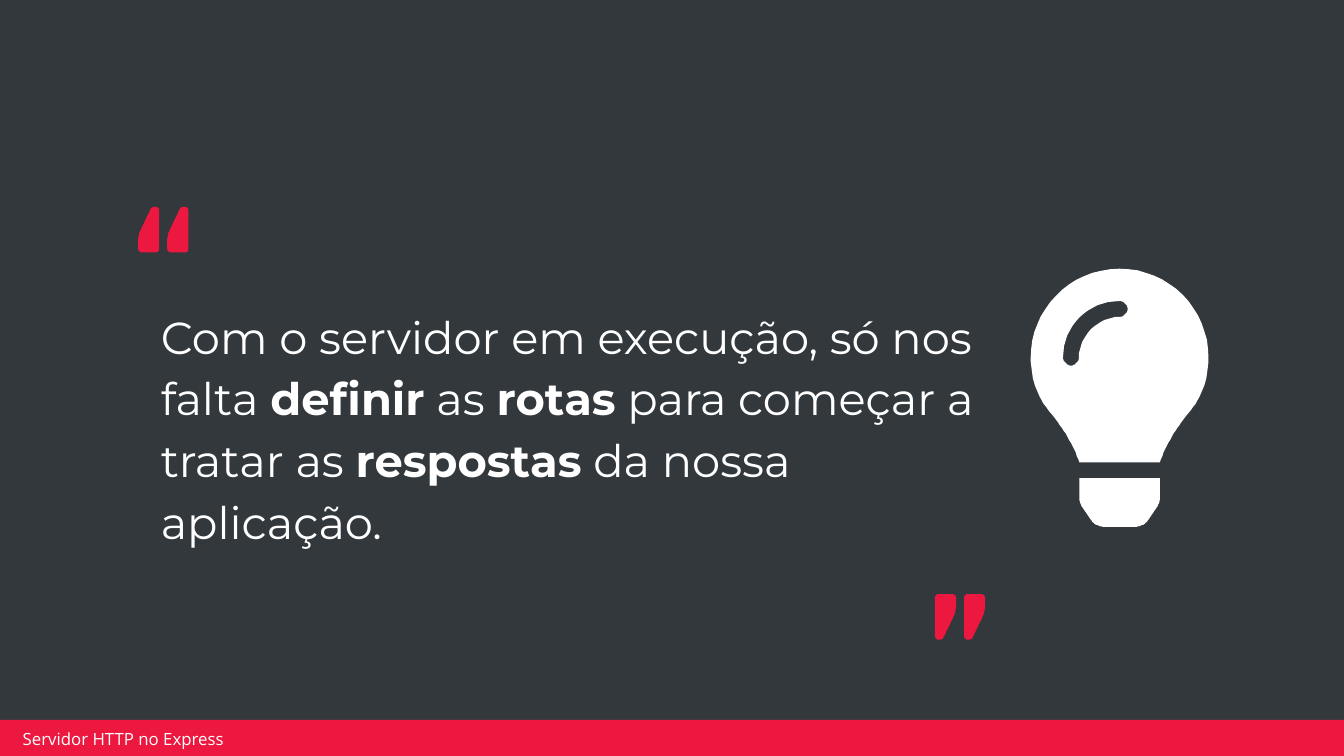
from dataclasses import dataclass

from pptx import Presentation
from pptx import util as u
from pptx.dml.color import RGBColor
from pptx.enum import shapes, text

COLORS = {"background": "33383C", "accent": "EC183F", "light": "FFFFFF"}

Point = tuple[float, float]
Segment = tuple[Point, ...]  # one point: straight line, three points: Bézier curve


@dataclass
class Contour:
    start: Point
    segments: list[Segment]


@dataclass
class QuoteMarks:
    left: float
    top: float
    rotation: int


@dataclass
class TextStyle:
    font: str
    size: int


@dataclass
class Box:
    left: float
    top: float
    width: float
    height: float


# Outlines, in hundredths of a centimetre
BULB = [
    # Glass
    Contour((0, 168), [
        ((0, 211), (15, 249), (43, 279)),
        ((58, 297), (81, 333), (92, 366)),
        ((244, 366),),
        ((255, 333), (278, 297), (293, 279)),
        ((321, 249), (336, 211), (336, 168)),
        ((336, 75), (261, 0), (168, 0)),
        ((71, 0), (0, 79), (0, 168)),
    ]),
    # Shine, cut out of the glass
    Contour((168, 91), [
        ((127, 91), (91, 127), (91, 168)),
        ((91, 176), (84, 183), (76, 183)),
        ((68, 183), (61, 176), (61, 168)),
        ((61, 109), (109, 61), (168, 61)),
        ((176, 61), (183, 68), (183, 76)),
        ((183, 84), (176, 91), (168, 91)),
    ]),
    # Base
    Contour((92, 396), [
        ((92, 434),),
        ((92, 439), (94, 445), (97, 450)),
        ((114, 475),),
        ((119, 483), (130, 488), (140, 488)),
        ((196, 488),),
        ((206, 488), (217, 483), (222, 475)),
        ((239, 450),),
        ((242, 445), (244, 439), (244, 434)),
        ((244, 396),),
    ]),
]
MARK = [
    Contour((33, 0), [
        ((28, 0), (25, 1), (24, 4)),
        ((7, 39),),
        ((3, 47), (0, 56), (0, 65)),
        ((0, 78),),
        ((0, 83), (3, 86), (8, 86)),
        ((33, 86),),
        ((38, 86), (40, 83), (40, 78)),
        ((40, 8),),
        ((40, 3), (38, 0), (33, 0)),
    ]),
]
MARK_PITCH = 0.55
QUOTE_MARKS = [QuoteMarks(2.61, 3.91, 0), QuoteMarks(17.67, 11.23, 180)]

# Wording: (text, bold)
QUOTE = [
    ("Com o servidor em execução, só nos falta ", False),
    ("definir", True),
    (" as ", False),
    ("rotas", True),
    (" para começar a tratar as ", False),
    ("respostas", True),
    (" da nossa aplicação.", False),
]
FOOTER = [("Servidor HTTP no Express", False)]


def rgb(name: str) -> RGBColor:
    return RGBColor.from_string(COLORS[name])


def paint(shape, color: str) -> None:
    shape.shadow.inherit = False
    shape.fill.solid()
    shape.fill.fore_color.rgb = rgb(color)
    shape.line.fill.background()


def flatten(contour: Contour, steps: int = 16) -> list[Point]:
    """Turn the curves of a contour into short straight lines."""
    points = [contour.start]
    for segment in contour.segments:
        if len(segment) == 1:
            points.append(segment[0])
            continue
        curve = (points[-1], *segment)
        for step in range(1, steps + 1):
            t = step / steps
            weights = ((1 - t) ** 3, 3 * t * (1 - t) ** 2, 3 * t * t * (1 - t), t ** 3)
            points.append(tuple(
                sum(w * p[axis] for w, p in zip(weights, curve)) for axis in (0, 1)))
    return points


def draw_outline(slide, contours: list[Contour], left: float, top: float,
                 color: str, rotation: int = 0) -> None:
    builder = slide.shapes.build_freeform(*contours[0].start, scale=u.Cm(0.01))
    for number, contour in enumerate(contours):
        if number:
            builder.move_to(*contour.start)
        builder.add_line_segments(flatten(contour)[1:], close=True)
    outline = builder.convert_to_shape(u.Cm(left), u.Cm(top))
    outline.rotation = rotation
    paint(outline, color)


def draw_text(slide, box: Box, runs: list[tuple[str, bool]], style: TextStyle,
              inset_x: float, inset_y: float):
    frame = slide.shapes.add_textbox(
        u.Cm(box.left), u.Cm(box.top), u.Cm(box.width), u.Cm(box.height)).text_frame
    frame.word_wrap = True
    frame.vertical_anchor = text.MSO_ANCHOR.MIDDLE
    frame.margin_left = frame.margin_right = u.Cm(inset_x)
    frame.margin_top = frame.margin_bottom = u.Cm(inset_y)
    paragraph = frame.paragraphs[0]
    for words, bold in runs:
        run = paragraph.add_run()
        run.text = words
        run.font.name = style.font
        run.font.size = u.Pt(style.size)
        run.font.bold = bold
        run.font.color.rgb = rgb("light")
    return paragraph


def main() -> None:
    deck = Presentation()
    deck.slide_width, deck.slide_height = u.Cm(25.4), u.Cm(14.29)
    slide = deck.slides.add_slide(deck.slide_layouts[6])
    slide.background.fill.solid()
    slide.background.fill.fore_color.rgb = rgb("background")

    # Footer
    bar = slide.shapes.add_shape(
        shapes.MSO_SHAPE.RECTANGLE, u.Cm(-0.05), u.Cm(13.61), u.Cm(25.48), u.Cm(0.69))
    paint(bar, "accent")
    draw_text(slide, Box(0.3, 13.77, 6.07, 0.38), FOOTER, TextStyle("Open Sans", 9), 0.13, 0.05)

    # Quote
    quote = draw_text(slide, Box(2.79, 5.21, 16.48, 5.64), QUOTE,
                      TextStyle("Montserrat", 24), 0.25, 0.13)
    quote.line_spacing = 1.15
    quote.space_before = u.Pt(6)

    # Light bulb
    draw_outline(slide, BULB, 19.48, 5.08, "light")

    # Opening and closing quotation marks
    for marks in QUOTE_MARKS:
        for number in range(2):
            draw_outline(slide, MARK, marks.left + number * MARK_PITCH, marks.top,
                         "accent", marks.rotation)

    deck.save("out.pptx")


if __name__ == "__main__":
    main()
